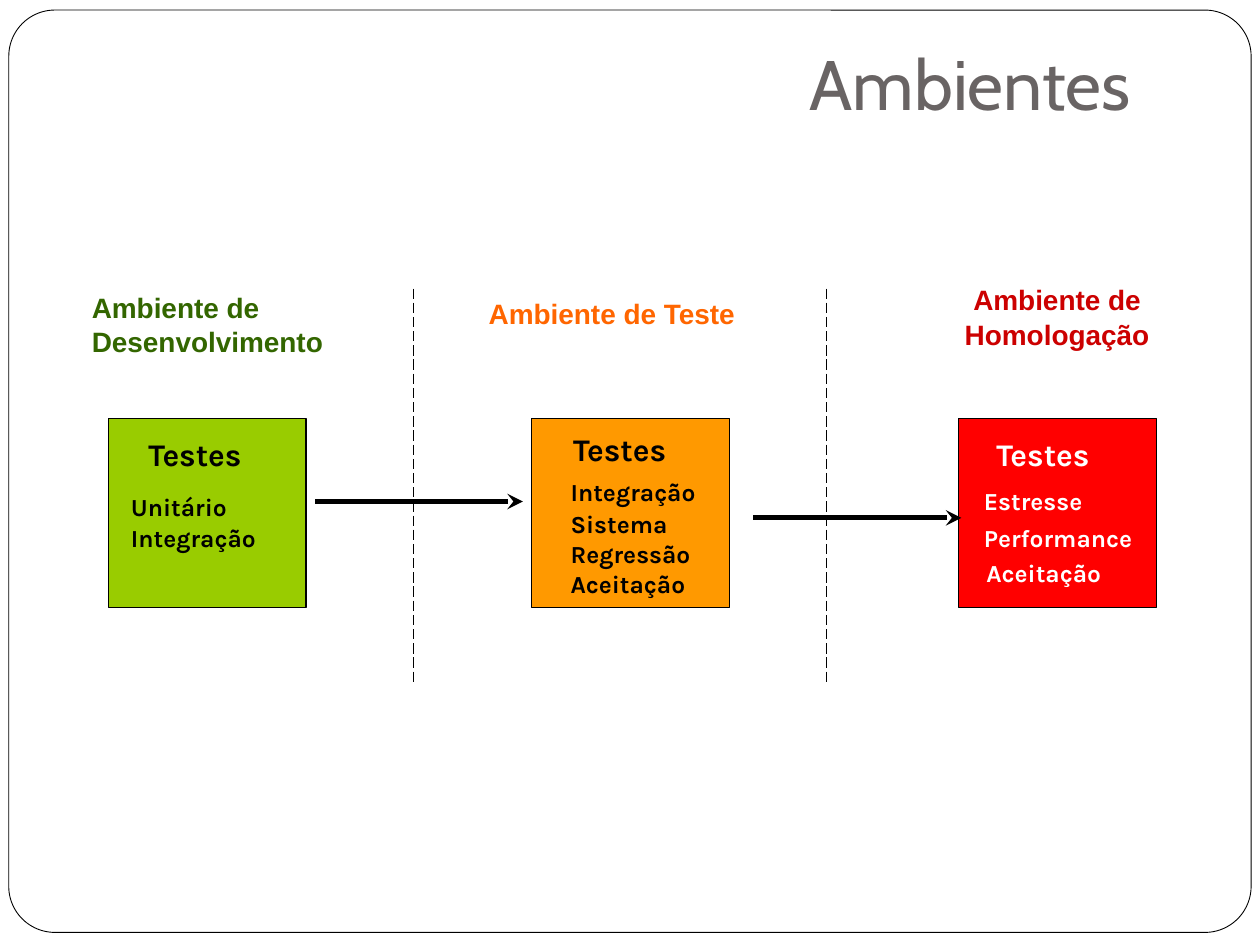
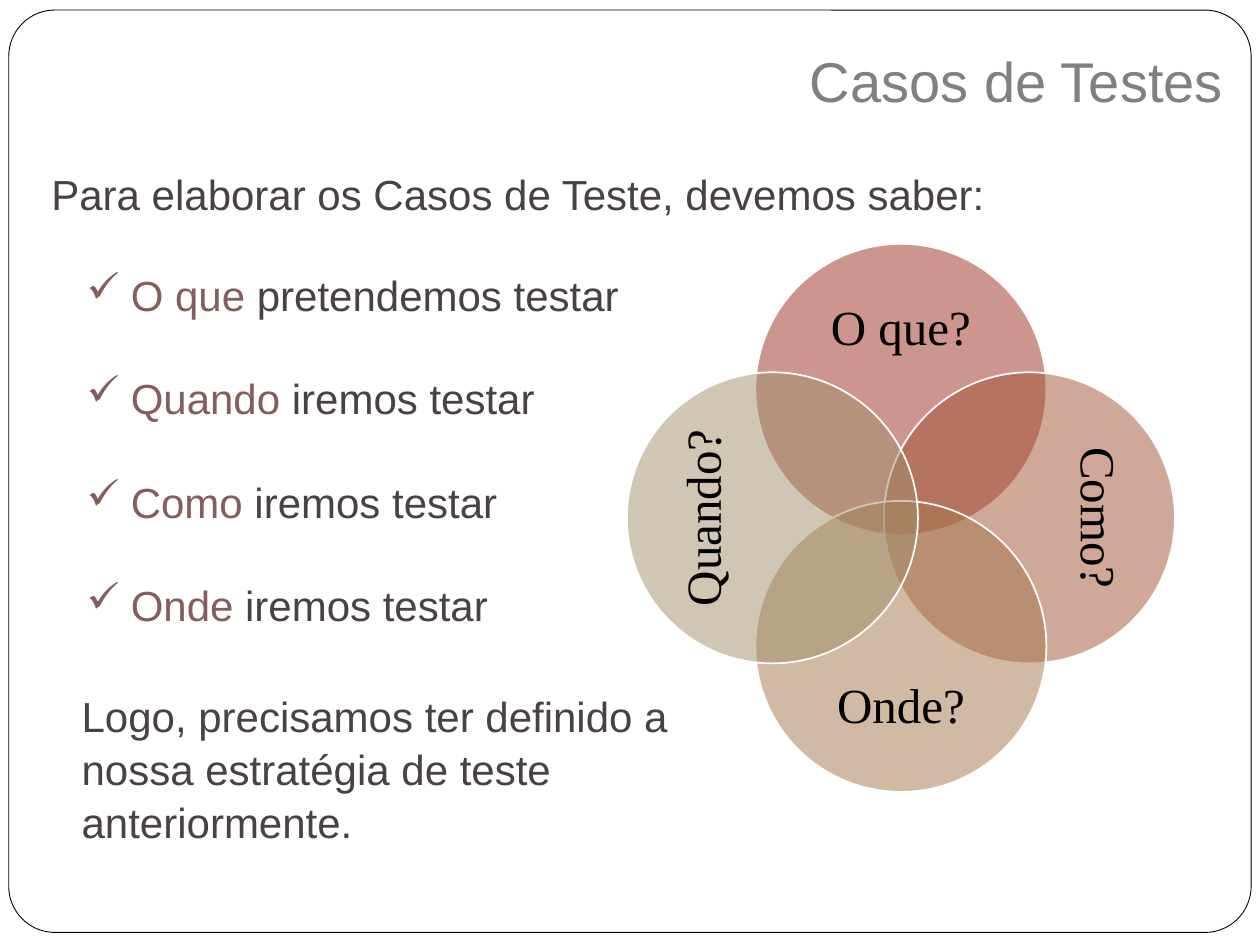
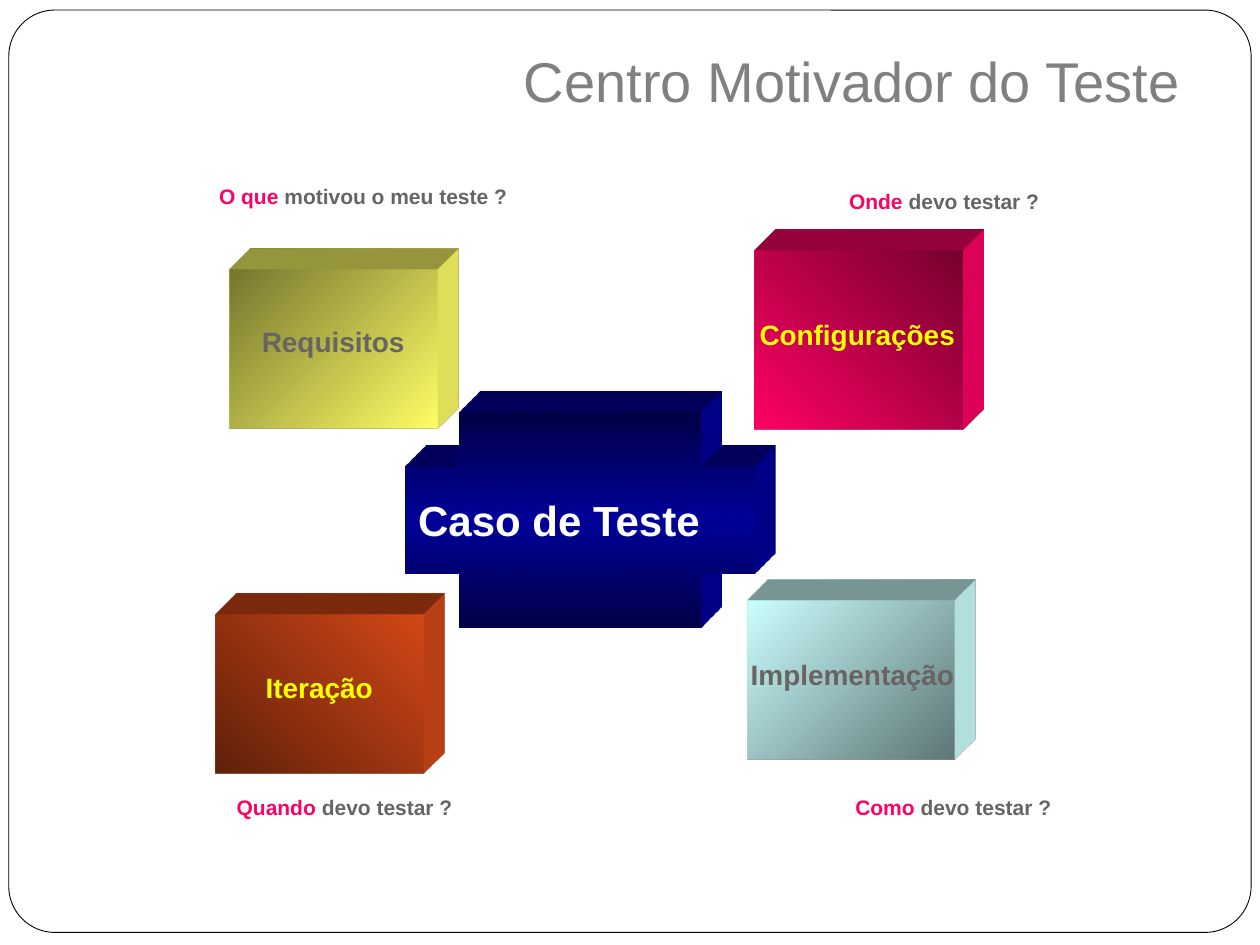
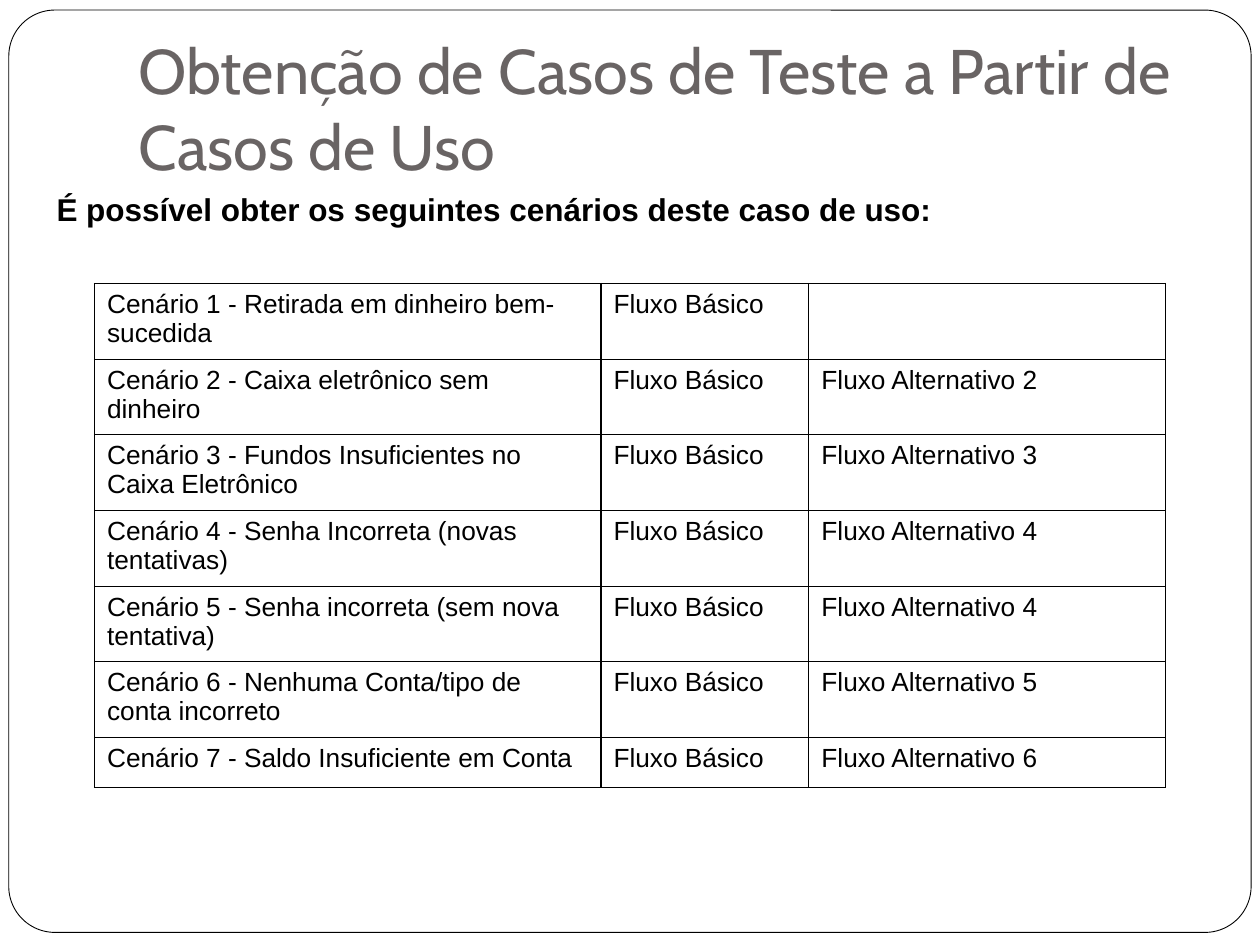
from lxml import etree
from pptx import Presentation
from pptx.dml.color import RGBColor
from pptx.enum.dml import MSO_LINE
from pptx.enum.shapes import MSO_CONNECTOR, MSO_SHAPE
from pptx.enum.text import MSO_ANCHOR as ANCHOR, PP_ALIGN as ALIGN
from pptx.oxml import parse_xml
from pptx.oxml.ns import nsdecls, qn
from pptx.util import Inches, Pt

# Shared colours and fonts
BLACK = RGBColor(0x00, 0x00, 0x00)
WHITE = RGBColor(0xFF, 0xFF, 0xFF)
GRAY = RGBColor(0x69, 0x64, 0x64)
TITLE_GRAY = RGBColor(0x80, 0x80, 0x80)
BODY = RGBColor(0x49, 0x41, 0x42)
ACCENT = RGBColor(0x85, 0x5D, 0x5D)
PINK = RGBColor(0xFF, 0x00, 0x66)
YELLOW = RGBColor(0xFF, 0xFF, 0x00)
GREEN = RGBColor(0x99, 0xCC, 0x00)
ORANGE = RGBColor(0xFF, 0x99, 0x00)
RED = RGBColor(0xFF, 0x00, 0x00)
DARK_GREEN = RGBColor(0x33, 0x66, 0x00)
DARK_ORANGE = RGBColor(0xFF, 0x66, 0x00)
DARK_RED = RGBColor(0xCC, 0x00, 0x00)
VENN_TOP = RGBColor(0x9B, 0x2D, 0x1F)
VENN_RIGHT = RGBColor(0xA2, 0x53, 0x33)
VENN_BOTTOM = RGBColor(0xA6, 0x75, 0x4B)
VENN_LEFT = RGBColor(0xA2, 0x8E, 0x6A)
OLIVE = RGBColor(0x76, 0x76, 0x2F)
LEMON = RGBColor(0xFF, 0xFF, 0x66)
RUST = RGBColor(0x61, 0x21, 0x0B)
BRICK = RGBColor(0xD3, 0x48, 0x17)
ICE = RGBColor(0xCC, 0xFF, 0xFF)
SLATE = RGBColor(0x5E, 0x76, 0x76)
WINE = RGBColor(0x76, 0x00, 0x2F)
NAVY = RGBColor(0x00, 0x00, 0x46)
BLUE = RGBColor(0x00, 0x00, 0x99)

SANS, HEADING, LABEL, SERIF = "Arial", "Cabin", "Karla", "Times New Roman"


def write(tf, paras, size=16, color=BLACK, font=SANS, bold=False, align=None,
          spacing=None, before=0, bullet=None):
    """Fill a text frame; a paragraph is a string or a list of (text, colour) runs."""
    for i, runs in enumerate([paras] if isinstance(paras, str) else paras):
        p = tf.paragraphs[0] if i == 0 else tf.add_paragraph()
        if bullet:
            pPr = p._p.get_or_add_pPr()
            pPr.set("marL", str(Inches(0.63)))
            pPr.set("indent", str(Inches(-0.35)))
            etree.SubElement(pPr, qn("a:buChar"), char=bullet)
        if align is not None:
            p.alignment = align
        if spacing:
            p.line_spacing = spacing
        if i and before:
            p.space_before = Pt(before)
        for text, run_color in [(runs, color)] if isinstance(runs, str) else runs:
            r = p.add_run()
            r.text = text
            r.font.size, r.font.name, r.font.bold = Pt(size), font, bold
            r.font.color.rgb = run_color


class Deck:
    def __init__(self):
        self.prs = Presentation()
        self.prs.slide_width, self.prs.slide_height = Inches(10), Inches(7.5)
        self.s = None

    def slide(self, title, box, size=32, font=SANS, color=TITLE_GRAY):
        """Start a slide with the rounded frame and its title."""
        self.s = self.prs.slides.add_slide(self.prs.slide_layouts[6])
        frame = self.shape(MSO_SHAPE.ROUNDED_RECTANGLE, (0.07, 0.08, 9.86, 7.32), WHITE, width=0.5)
        frame.adjustments[0] = 0.05
        sp = self.text(title, box, size=size, font=font, color=color, anchor=ANCHOR.BOTTOM)
        sp.text_frame.margin_bottom = Inches(0.1)

    def text(self, paras, box, wrap=True, anchor=ANCHOR.TOP, inset=True, vert=None, **fmt):
        sp = self.s.shapes.add_textbox(*map(Inches, box))
        tf = sp.text_frame
        tf.word_wrap, tf.vertical_anchor = wrap, anchor
        if not inset:
            tf.margin_left = tf.margin_right = tf.margin_top = tf.margin_bottom = 0
        if vert:
            tf._txBody.bodyPr.set("vert", vert)
        write(tf, paras, **fmt)
        return sp

    def shape(self, kind, box, fill, line=BLACK, width=0.75, alpha=None):
        sp = self.s.shapes.add_shape(kind, *map(Inches, box))
        sp.shadow.inherit = False
        sp.fill.solid()
        sp.fill.fore_color.rgb = fill
        if alpha:
            color = sp._element.spPr.find(qn("a:solidFill"))[0]
            etree.SubElement(color, qn("a:alpha"), val=str(alpha * 1000))
        sp.line.color.rgb, sp.line.width = line, Pt(width)
        return sp

    def block(self, kind, box, stops, angle, side):
        """Gradient shape extruded towards the top right."""
        sp = self.s.shapes.add_shape(kind, *map(Inches, box))
        spPr = sp._element.spPr
        step = 100000 // (len(stops) - 1)
        gs = "".join(f'<a:gs pos="{i * step}"><a:srgbClr val="{c}"/></a:gs>'
                     for i, c in enumerate(stops))
        spPr.append(parse_xml(
            f'<a:gradFill {nsdecls("a")} rotWithShape="1"><a:gsLst>{gs}</a:gsLst>'
            f'<a:lin ang="{angle * 60000}" scaled="1"/></a:gradFill>'))
        sp.line.fill.background()
        sp.shadow.inherit = False
        spPr.append(parse_xml(
            f'<a:scene3d {nsdecls("a")}><a:camera prst="legacyObliqueTopRight"/>'
            '<a:lightRig rig="legacyFlat3" dir="b"/></a:scene3d>'))
        spPr.append(parse_xml(
            f'<a:sp3d {nsdecls("a")} extrusionH="430200" prstMaterial="legacyMatte">'
            '<a:bevelT w="13500" h="13500" prst="angle"/>'
            '<a:bevelB w="13500" h="13500" prst="angle"/>'
            f'<a:extrusionClr><a:srgbClr val="{side}"/></a:extrusionClr></a:sp3d>'))
        return sp

    def line(self, x1, y1, x2, y2, width=0.75, dash=None, arrow=False):
        cx = self.s.shapes.add_connector(MSO_CONNECTOR.STRAIGHT, *map(Inches, (x1, y1, x2, y2)))
        cx.line.color.rgb, cx.line.width = BLACK, Pt(width)
        if dash:
            cx.line.dash_style = dash
        if arrow:
            etree.SubElement(cx.line._get_or_add_ln(), qn("a:tailEnd"), type="stealth")
        etree.SubElement(cx._element.spPr, qn("a:effectLst"))

    def table(self, rows, left, top, widths, height, size):
        tb = self.s.shapes.add_table(len(rows), len(widths), Inches(left), Inches(top),
                                     Inches(sum(widths)), Inches(height * len(rows))).table
        tb.first_row = tb.horz_banding = False
        for col, width in zip(tb.columns, widths):
            col.width = Inches(width)
        for i, row in enumerate(rows):
            tb.rows[i].height = Inches(height)
            for j, text in enumerate(row):
                cell = tb.cell(i, j)
                if text:
                    write(cell.text_frame, text, size=size)
                tcPr = cell._tc.get_or_add_tcPr()
                for side in ("lnL", "lnR", "lnT", "lnB"):
                    tcPr.append(parse_xml(
                        f'<a:{side} {nsdecls("a")} w="{Pt(0.75)}"><a:solidFill>'
                        f'<a:srgbClr val="{BLACK}"/></a:solidFill></a:{side}>'))
                cell.fill.background()


def environments(d):
    d.slide("Ambientes", (6.33, 0.31, 3.44, 0.78), 40, HEADING, GRAY)
    for x in (3.28, 6.56):
        d.line(x, 2.29, x, 5.44, dash=MSO_LINE.LONG_DASH)

    # Environment names
    tight = dict(bold=True, spacing=0.5, before=10)
    d.text(["Ambiente de", "Desenvolvimento"], (0.63, 2.37, 2.11, 0.51), color=DARK_GREEN, **tight)
    d.text("Ambiente de Teste", (3.78, 2.42, 2.32, 0.24), color=DARK_ORANGE, **tight)
    d.text("Ambiente de Homologação", (7.01, 2.18, 2.76, 0.64), color=DARK_RED,
           bold=True, align=ALIGN.CENTER, spacing=1.05)

    # Test boxes: left, fill, text colour, heading place, then (test, left, top)
    boxes = [
        (0.86, GREEN, BLACK, (1.08, 3.4),
         [("Unitário", 0.94, 3.86), ("Integração", 0.94, 4.1)]),
        (4.22, ORANGE, BLACK, (4.45, 3.36),
         [("Integração", 4.43, 3.74), ("Sistema", 4.43, 3.99),
          ("Regressão", 4.43, 4.23), ("Aceitação", 4.43, 4.47)]),
        (7.61, RED, WHITE, (7.81, 3.4),
         [("Estresse", 7.71, 3.81), ("Performance", 7.71, 4.1), ("Aceitação", 7.73, 4.38)]),
    ]
    for left, fill, color, place, tests in boxes:
        d.shape(MSO_SHAPE.RECTANGLE, (left, 3.32, 1.57, 1.5), fill)
        style = dict(font=LABEL, bold=True, color=color)
        d.text("Testes", (*place, 1.1, 0.41), size=18, **style)
        for name, x, y in tests:
            d.text(name, (x, y, 1.45, 0.33), size=14, **style)
    for x, y in ((2.5, 3.98), (5.98, 4.11)):
        d.line(x, y, x + 1.65, y, width=3, arrow=True)


def test_cases(d):
    d.slide("Casos de Testes", (6.33, 0.23, 3.67, 0.77))
    body = dict(size=24, color=BODY, spacing=1.05)
    d.text("Para elaborar os Casos de Teste, devemos saber:", (0.31, 1.27, 7.97, 0.5), **body)
    questions = [("O que", "pretendemos testar"), ("Quando", "iremos testar"),
                 ("Como", "iremos testar"), ("Onde", "iremos testar")]
    d.text([[(word + " ", ACCENT), (rest, BODY)] for word, rest in questions],
           (0.31, 2.07, 5.2, 2.94), bullet="✓", before=28.8, **body)

    # Four overlapping circles around one centre
    cx, cy, offset, size = 7.15, 4.11, 1.02, 2.31
    circles = [
        ("O que?", VENN_TOP, 0, -1, (6.26, 2.25, 1.78, 0.73), None),
        ("Como?", VENN_RIGHT, 1, 0, (8.26, 3.22, 0.89, 1.78), "vert"),
        ("Onde?", VENN_BOTTOM, 0, 1, (6.26, 5.25, 1.78, 0.73), None),
        ("Quando?", VENN_LEFT, -1, 0, (5.15, 3.22, 0.89, 1.78), "vert270"),
    ]
    for label, fill, dx, dy, box, vert in circles:
        d.shape(MSO_SHAPE.OVAL, (cx + dx * offset - size / 2, cy + dy * offset - size / 2, size, size),
                fill, line=WHITE, width=1, alpha=50)
        d.text(label, box, inset=False, vert=vert, anchor=ANCHOR.MIDDLE, size=28,
               font=SERIF, align=ALIGN.CENTER, spacing=0.9)
    d.text("Logo, precisamos ter definido a nossa estratégia de teste anteriormente.",
           (0.55, 5.41, 5, 1.31), **body)


def test_drivers(d):
    d.slide("Centro Motivador do Teste", (4.06, 0.23, 5.94, 0.77))

    # Corner blocks: box, gradient, angle, side colour, label
    blocks = [
        ((1.82, 2.14, 1.65, 1.26), (OLIVE, LEMON), 45, LEMON,
         "Requisitos", GRAY, (1.98, 2.53, 1.34, 0.37)),
        ((1.71, 4.88, 1.65, 1.26), (RUST, BRICK), 315, BRICK,
         "Iteração", YELLOW, (2.01, 5.27, 1.05, 0.37)),
        ((5.93, 4.77, 1.65, 1.26), (ICE, SLATE), 45, ICE,
         "Implementação", GRAY, (5.86, 5.17, 1.82, 0.37)),
        ((5.99, 1.99, 1.65, 1.42), (PINK, WINE), 315, PINK,
         "Configurações", YELLOW, (5.93, 2.47, 1.76, 0.37)),
    ]
    for box, stops, angle, side, label, color, place in blocks:
        d.block(MSO_SHAPE.RECTANGLE, box, stops, angle, side)
        d.text(label, place, wrap=False, color=color, bold=True)

    # Central cross
    cross = d.block(MSO_SHAPE.CROSS, (3.22, 3.27, 2.77, 1.71), (NAVY, BLUE, NAVY), 90, BLUE)
    cross.text_frame.vertical_anchor = ANCHOR.MIDDLE
    write(cross.text_frame, "Caso de Teste", size=24, color=WHITE, bold=True, align=ALIGN.LEFT)

    # Questions
    questions = [
        ("O que", "motivou o meu teste ?", (1.64, 1.41, 2.49, 0.3)),
        ("Quando", "devo testar ?", (1.78, 6.26, 1.92, 0.3)),
        ("Como", "devo testar ?", (6.69, 6.26, 1.76, 0.3)),
        ("Onde", "devo testar ?", (6.64, 1.45, 1.71, 0.3)),
    ]
    for word, rest, box in questions:
        d.text([[(word + " ", PINK), (rest, GRAY)]], box, wrap=False, size=12, bold=True)


def scenarios(d):
    d.slide("Obtenção de Casos de Teste a Partir de Casos de Uso", (1, 0.3, 8.5, 1.25),
            36, HEADING, GRAY)
    cases = [
        ("Retirada em dinheiro bem-sucedida", None),
        ("Caixa eletrônico sem dinheiro", 2),
        ("Fundos Insuficientes no Caixa Eletrônico", 3),
        ("Senha Incorreta (novas tentativas)", 4),
        ("Senha incorreta (sem nova tentativa)", 4),
        ("Nenhuma Conta/tipo de conta incorreto", 5),
        ("Saldo Insuficiente em Conta", 6),
    ]
    rows = [(f"Cenário {n} - {name}", "Fluxo Básico", f"Fluxo Alternativo {flow}" if flow else "")
            for n, (name, flow) in enumerate(cases, 1)]
    d.table(rows, 0.75, 2.25, (4.02, 1.65, 2.83), 0.4, 15)
    d.text("É possível obter os seguintes cenários deste caso de uso:",
           (0.35, 1.46, 7.15, 0.4), wrap=False, size=18, bold=True)


def main():
    d = Deck()
    for build in (environments, test_cases, test_drivers, scenarios):
        build(d)
    d.prs.save("out.pptx")


if __name__ == "__main__":
    main()
